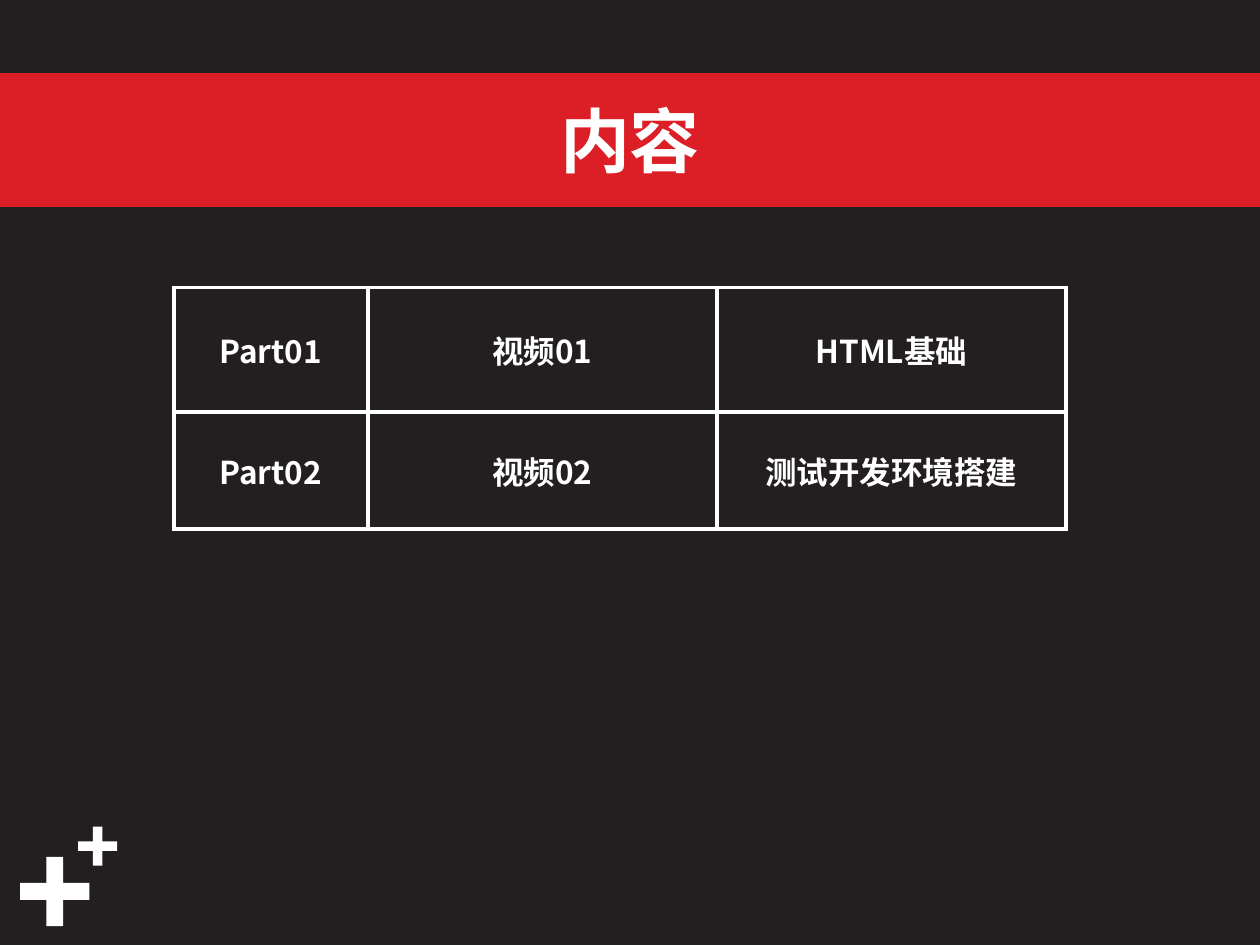
from dataclasses import dataclass

from lxml import etree
from pptx import Presentation
from pptx.dml.color import RGBColor
from pptx.enum.shapes import MSO_SHAPE
from pptx.enum.text import MSO_ANCHOR, MSO_AUTO_SIZE, PP_ALIGN
from pptx.oxml.ns import qn
from pptx.util import Inches, Pt

PLUS = MSO_SHAPE.CROSS
MIDDLE = MSO_ANCHOR.MIDDLE
CENTER = PP_ALIGN.CENTER
NO_AUTOFIT = MSO_AUTO_SIZE.NONE

FONT = "Noto Sans CJK SC"
DARK, RED, WHITE = "231F20", "DC1F26", "FFFFFF"
TITLE_ONLY = 5
BORDER_WIDTH = Pt(2.25)

COLUMN_WIDTHS = (1.54, 2.77, 2.77)
ROW_HEIGHTS = (0.99, 0.93)
CONTENTS = (
    ("Part01", "视频01", "HTML基础"),
    ("Part02", "视频02", "测试开发环境搭建"),
)


@dataclass
class Plus:
    left: float
    top: float
    size: float


PLUSES = (Plus(0.16, 6.8, 0.55), Plus(0.62, 6.56, 0.31))


def paint(fill, color: str) -> None:
    fill.solid()
    fill.fore_color.rgb = RGBColor.from_string(color)


def write(frame, text: str, size: float) -> None:
    """Put one centred bold white line in a text frame."""
    para = frame.paragraphs[0]
    para.alignment = CENTER
    span = para.add_run()
    span.text = text
    span.font.name = FONT
    span.font.size = Pt(size)
    span.font.bold = True
    span.font.color.rgb = RGBColor.from_string(WHITE)
    # East Asian characters take their own typeface entry
    etree.SubElement(span.font._element, qn("a:ea"), typeface=FONT)


def add_plus(page, plus: Plus) -> None:
    shape = page.shapes.add_shape(
        PLUS, Inches(plus.left), Inches(plus.top), Inches(plus.size), Inches(plus.size)
    )
    shape.adjustments[0] = 0.378
    shape.shadow.inherit = False
    paint(shape.fill, WHITE)
    shape.line.fill.background()


def add_title_band(page, text: str) -> None:
    band = page.shapes.title
    band.left, band.top = Inches(0), Inches(0.6)
    band.width, band.height = Inches(10), Inches(1.02)
    paint(band.fill, RED)
    paint(band.line.fill, RED)
    band.line.width = Pt(3)
    frame = band.text_frame
    frame.auto_size = NO_AUTOFIT
    frame.vertical_anchor = MIDDLE
    write(frame, text, 40)


def add_borders(cell, color: str) -> None:
    properties = cell._tc.get_or_add_tcPr()
    for position, side in enumerate(("lnL", "lnR", "lnT", "lnB")):
        border = etree.Element(qn(f"a:{side}"), w=str(BORDER_WIDTH))
        solid = etree.SubElement(border, qn("a:solidFill"))
        etree.SubElement(solid, qn("a:srgbClr"), val=color)
        properties.insert(position, border)


def add_contents_table(page) -> None:
    table = page.shapes.add_table(
        len(ROW_HEIGHTS), len(COLUMN_WIDTHS), Inches(1.38), Inches(2.28),
        Inches(sum(COLUMN_WIDTHS)), Inches(sum(ROW_HEIGHTS)),
    ).table
    table.first_row = False
    table.horz_banding = False
    for column, width in zip(table.columns, COLUMN_WIDTHS):
        column.width = Inches(width)
    for row, height, texts in zip(table.rows, ROW_HEIGHTS, CONTENTS):
        row.height = Inches(height)
        for cell, text in zip(row.cells, texts):
            cell.vertical_anchor = MIDDLE
            cell.fill.background()
            add_borders(cell, WHITE)
            write(cell.text_frame, text, 18)


def main() -> None:
    deck = Presentation()
    deck.slide_width, deck.slide_height = Inches(10), Inches(7.5)
    page = deck.slides.add_slide(deck.slide_layouts[TITLE_ONLY])
    paint(page.background.fill, DARK)

    # Corner decoration
    for plus in PLUSES:
        add_plus(page, plus)

    # Heading and contents
    add_title_band(page, "内容")
    add_contents_table(page)

    deck.save("out.pptx")


if __name__ == "__main__":
    main()
